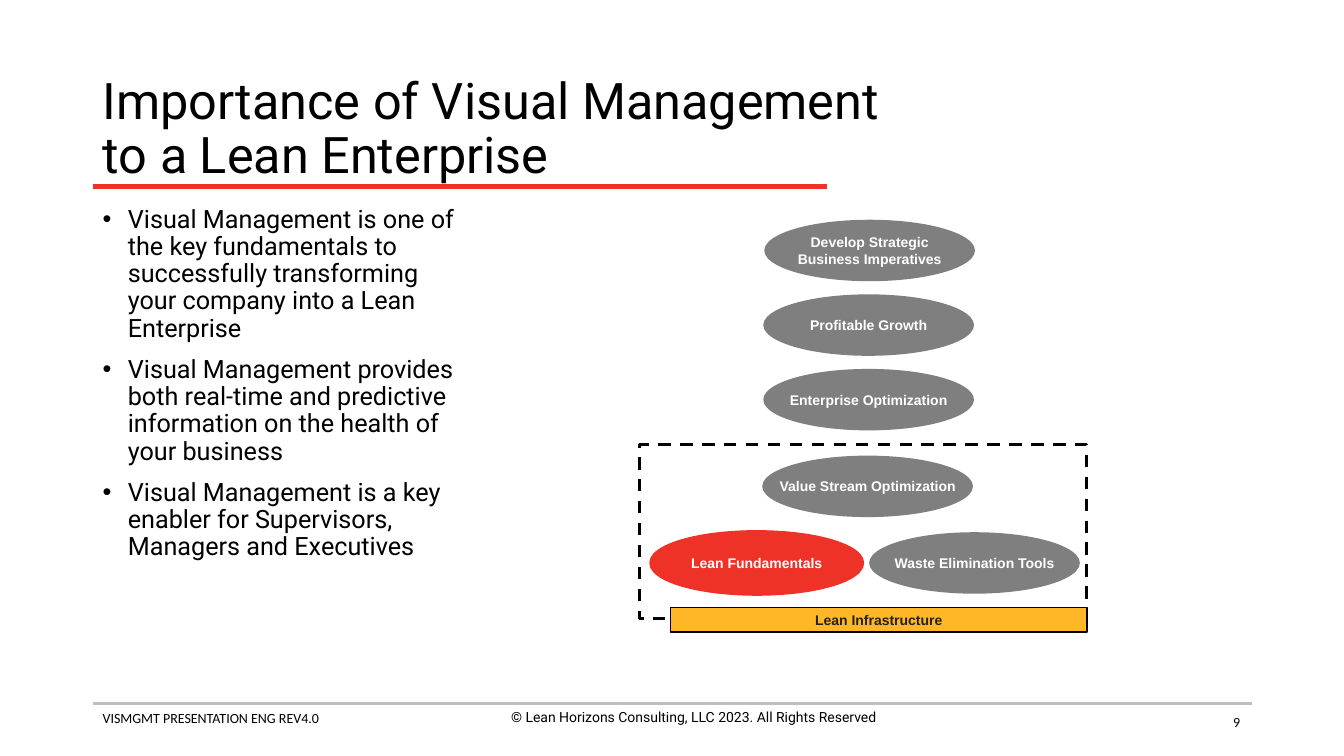
from pptx import Presentation
from pptx.dml.color import RGBColor
from pptx.enum.dml import MSO_LINE
from pptx.enum.shapes import MSO_CONNECTOR, MSO_SHAPE
from pptx.enum.text import MSO_ANCHOR as Anchor, MSO_AUTO_SIZE as AutoSize, PP_ALIGN as Align
from pptx.oxml.ns import qn
from pptx.util import Inches, Pt
from lxml import etree

BLACK = RGBColor(0x00, 0x00, 0x00)
WHITE = RGBColor(0xFF, 0xFF, 0xFF)
RED = RGBColor(0xEE, 0x32, 0x28)
GRAY = RGBColor(0x7F, 0x7F, 0x7F)
SILVER = RGBColor(0xBF, 0xBF, 0xBF)
AMBER = RGBColor(0xFF, 0xB6, 0x27)
INK = RGBColor(0x22, 0x22, 0x22)

# Content
TITLE = ["Importance of Visual Management \vto a Lean Enterprise"]
BULLETS = [
    "Visual Management is one of the key fundamentals to successfully "
    "transforming your company into a Lean Enterprise",
    "Visual Management provides both real-time and predictive information "
    "on the health of your business",
    "Visual Management is a key enabler for Supervisors, Managers and Executives",
]
# Text, left, top, width, alignment, anchor, font
FOOTERS = [
    ("VISMGMT PRESENTATION ENG REV4.0", 0.92, 6.99, 4.56, Align.LEFT, Anchor.TOP, "Calibri"),
    ("© Lean Horizons Consulting, LLC 2023. All Rights Reserved",
     4.6, 6.98, 4.56, Align.CENTER, Anchor.TOP, "Roboto"),
    ("9", 9.4, 6.98, 3, Align.RIGHT, Anchor.MIDDLE, "Calibri"),
]
# Left, right, top, colour, weight
RULES = [(0.92, 12.42, 6.98, SILVER, 2), (0.92, 8.2, 1.85, RED, 3)]
# Text, left, top, fill, outline
STAGES = [
    ("Develop Strategic\vBusiness Imperatives", 7.58, 2.18, GRAY, None),
    ("Profitable Growth", 7.57, 2.92, GRAY, None),
    ("Enterprise Optimization", 7.57, 3.66, GRAY, None),
    ("Value Stream Optimization", 7.56, 4.52, GRAY, None),
    ("Lean Fundamentals", 6.46, 5.28, RED, RED),
    ("Waste Elimination Tools", 8.62, 5.28, GRAY, None),
]
STAGE_SIZE = (2.09, 0.61)
SCOPE_BOX = (6.34, 4.41, 4.44, 1.73)
INFRASTRUCTURE_BOX = (6.65, 6.03, 4.13, 0.24)


def write(shape, lines, color, size, font, align=Align.LEFT, anchor=Anchor.TOP,
          bold=False, spacing=1.0, gap=0, bullet=False, wrap=True):
    frame = shape.text_frame
    frame.word_wrap = wrap
    frame.auto_size = AutoSize.NONE
    frame.vertical_anchor = anchor
    for index, line in enumerate(lines):
        para = frame.paragraphs[0] if index == 0 else frame.add_paragraph()
        para.text = line
        if bullet:
            props = para._p.get_or_add_pPr()
            props.set("marL", str(Inches(0.25)))
            props.set("indent", str(-Inches(0.25)))
            etree.SubElement(props, qn("a:buFont")).set("typeface", "Arial")
            etree.SubElement(props, qn("a:buChar")).set("char", "•")
        para.alignment = align
        para.line_spacing = spacing
        para.space_before = Pt(gap if index else 0)
        style = {"name": font, "size": Pt(size), "bold": bold}
        for span in para.runs:
            for key, value in style.items():
                setattr(span.font, key, value)
            span.font.color.rgb = color


def add_shape(page, kind, place, fill=None, outline=None, weight=1):
    shape = page.shapes.add_shape(kind, *map(Inches, place))
    shape.shadow.inherit = False
    if fill is None:
        shape.fill.background()
    else:
        shape.fill.solid()
        shape.fill.fore_color.rgb = fill
    if outline is None:
        shape.line.fill.background()
    else:
        shape.line.color.rgb = outline
        shape.line.width = Pt(weight)
    return shape


def main():
    deck = Presentation()
    deck.slide_width, deck.slide_height = Inches(13.33), Inches(7.5)
    page = deck.slides.add_slide(deck.slide_layouts[5])

    # Rules under the title and above the footer
    for left, right, top, color, weight in RULES:
        rule = page.shapes.add_connector(
            MSO_CONNECTOR.STRAIGHT, Inches(left), Inches(top), Inches(right), Inches(top))
        rule.line.color.rgb = color
        rule.line.width = Pt(weight)
        etree.SubElement(rule._element.spPr, qn("a:effectLst"))

    # Footer
    for text, left, top, width, align, anchor, font in FOOTERS:
        height = 0.36 if anchor == Anchor.MIDDLE else 0.44
        box = page.shapes.add_textbox(*map(Inches, (left, top, width, height)))
        write(box, [text], BLACK, 10, font, align, anchor)

    # Title and bullets
    title = page.shapes.title
    title.left, title.top, title.width, title.height = map(Inches, (0.92, 0.74, 11.5, 1.1))
    write(title, TITLE, BLACK, 36, "Roboto", anchor=Anchor.MIDDLE, spacing=0.9)
    body = page.shapes.add_textbox(*map(Inches, (0.92, 2, 3.8, 4.76)))
    write(body, BULLETS, BLACK, 18, "Roboto", spacing=0.9, gap=10, bullet=True)

    # Dashed frame around the lean stages
    scope = add_shape(page, MSO_SHAPE.RECTANGLE, SCOPE_BOX, outline=BLACK, weight=2.25)
    scope.line.dash_style = MSO_LINE.DASH

    # Stage ellipses
    label = {"size": 10, "font": "Arial", "align": Align.CENTER,
             "anchor": Anchor.MIDDLE, "bold": True, "wrap": False}
    for text, left, top, fill, outline in STAGES:
        stage = add_shape(page, MSO_SHAPE.OVAL, (left, top, *STAGE_SIZE), fill, outline, 3)
        write(stage, [text], WHITE, **label)

    # Infrastructure bar
    bar = add_shape(page, MSO_SHAPE.RECTANGLE, INFRASTRUCTURE_BOX, AMBER, BLACK)
    bar.text_frame.margin_top = bar.text_frame.margin_bottom = 0
    write(bar, ["Lean Infrastructure"], INK, **label)

    deck.save("out.pptx")


if __name__ == "__main__":
    main()
